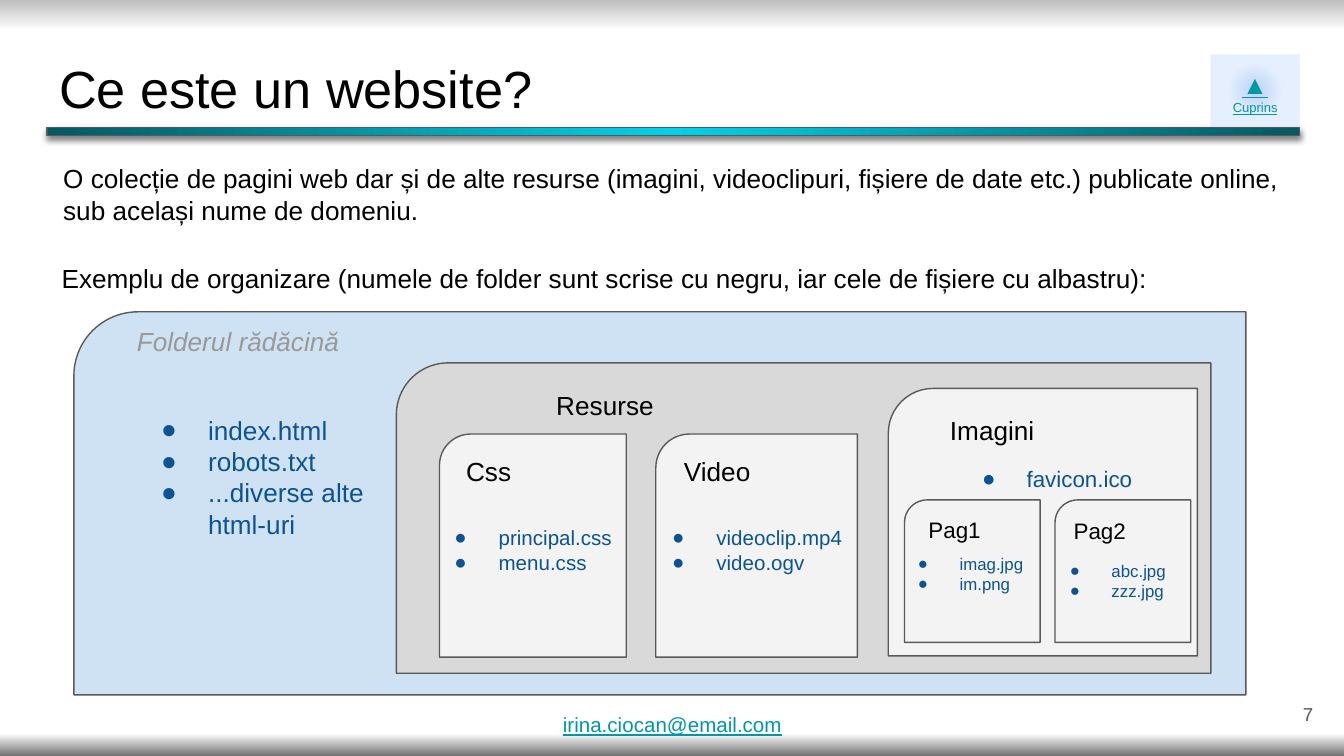
from lxml import etree
from pptx import Presentation, util as u
from pptx.dml import color as c
from pptx.enum import shapes, text
from pptx.oxml import ns

COLORS = {"black": "000000", "file": "0B5394", "link": "0097A7", "muted": "999999",
          "edge": "595959", "root": "CFE2F3", "resources": "D9D9D9", "folder": "F3F3F3"}


def set_gradient(fill, parent, stops, direction, alpha=100):
    fill.gradient()
    gradient = parent.find(ns.qn("a:gradFill"))
    for child in list(gradient):
        gradient.remove(child)
    stop_list = etree.SubElement(gradient, ns.qn("a:gsLst"))
    for position, color in stops:
        stop = etree.SubElement(stop_list, ns.qn("a:gs"), pos=str(position * 1000))
        shade = etree.SubElement(stop, ns.qn("a:srgbClr"), val=color)
        if alpha < 100:
            etree.SubElement(shade, ns.qn("a:alpha"), val=str(alpha * 1000))
    if direction == "circle":
        route = etree.SubElement(gradient, ns.qn("a:path"), path="circle")
        etree.SubElement(route, ns.qn("a:fillToRect"), l="50000", t="50000", r="50000", b="50000")
    else:
        etree.SubElement(gradient, ns.qn("a:lin"), ang=str(direction * 60000), scaled="0")


def write(box, lines, size, color="black", hanging=None, align="LEFT", anchor="TOP",
          inset=(0.1, 0.1), **style):
    frame = box.text_frame
    side, top = (u.Inches(value) for value in inset)
    layout = {"word_wrap": True, "auto_size": text.MSO_AUTO_SIZE.NONE,
              "vertical_anchor": getattr(text.MSO_ANCHOR, anchor),
              "margin_left": side, "margin_right": side,
              "margin_top": top, "margin_bottom": top}
    for name, value in layout.items():
        setattr(frame, name, value)
    for index, line in enumerate(lines):
        para = frame.add_paragraph() if index else frame.paragraphs[0]
        para.alignment = getattr(text.PP_ALIGN, align)
        para.space_before = u.Pt(0)
        props = para._p.get_or_add_pPr()
        if hanging:
            props.set("marL", str(u.Inches(0.5)))
            props.set("indent", str(u.Inches(-hanging)))
            tint = etree.SubElement(props, ns.qn("a:buClr"))
            etree.SubElement(tint, ns.qn("a:srgbClr"), val=COLORS[color])
            etree.SubElement(props, ns.qn("a:buFont"), typeface="Arial")
            etree.SubElement(props, ns.qn("a:buChar"), char="●")
        else:
            props.set("marL", "0")
            props.set("indent", "0")
            etree.SubElement(props, ns.qn("a:buNone"))
        span = para.add_run()
        span.text = line
        for name, value in {"name": "Arial", "size": u.Pt(size), **style}.items():
            setattr(span.font, name, value)
        span.font.color.rgb = c.RGBColor.from_string(COLORS[color])


deck = Presentation()
deck.slide_width = u.Inches(10)
deck.slide_height = u.Inches(10 * 9 / 16)
page = deck.slides.add_slide(deck.slide_layouts[1])
backdrop = page.background.fill
backdrop.gradient()
set_gradient(backdrop, page.background._cSld.bg.bgPr,
             [(0, "BFBFBF"), (4, "FFFFFF"), (97, "FFFFFF"), (100, "737373")], 90)

title, body = page.shapes.title, page.placeholders[1]
for holder, place in ((title, (0.34, 0.32, 9.32, 0.63)), (body, (0.37, 1.11, 9.28, 0.63))):
    holder.left, holder.top, holder.width, holder.height = map(u.Inches, place)
write(title, ["Ce este un website?"], 28)
write(body, ["O colecție de pagini web dar și de alte resurse (imagini, videoclipuri, fișiere "
             "de date etc.) publicate online, sub același nume de domeniu."], 14)

bar = page.shapes.add_shape(shapes.MSO_SHAPE.RECTANGLE, *map(u.Inches, (0.35, 0.95, 9.32, 0.06)))
bar.line.color.rgb = c.RGBColor.from_string(COLORS["edge"])
bar.line.width = u.Pt(0.75)
bar.shadow.inherit = False
bar_props = bar._element.spPr
set_gradient(bar.fill, bar_props, [(0, "00D2E9"), (100, "045962")], "circle")
shadow = etree.SubElement(bar_props.find(ns.qn("a:effectLst")), ns.qn("a:outerShdw"),
                          blurRad=str(u.Pt(3.4)), dist=str(u.Pt(1.5)), dir="5400000",
                          algn="bl", rotWithShape="0")
shadow_color = etree.SubElement(shadow, ns.qn("a:srgbClr"), val=COLORS["black"])
etree.SubElement(shadow_color, ns.qn("a:alpha"), val="50000")

contents = page.shapes.add_shape(shapes.MSO_SHAPE.RECTANGLE, *map(u.Inches, (9.01, 0.41, 0.66, 0.53)))
contents.line.fill.background()
contents.shadow.inherit = False
set_gradient(contents.fill, contents._element.spPr,
             [(0, "4A86E8"), (48, "BCD6FF"), (100, "BCD6FF")], "circle", alpha=37)
write(contents, ["▲", "Cuprins"], 14, "link", align="CENTER", underline=True)
contents.text_frame.paragraphs[1].runs[0].font.size = u.Pt(7)

folders = [
    ("root", 0.55, 2.32, 8.72, 2.85),
    ("resources", 2.95, 2.7, 6.06, 2.31),
    ("folder", 6.61, 2.89, 2.3, 1.99),
    ("folder", 3.27, 3.23, 1.39, 1.66),
    ("folder", 4.88, 3.23, 1.5, 1.66),
    ("folder", 6.73, 3.72, 1.01, 1.06),
    ("folder", 7.85, 3.72, 1.01, 1.06),
]
for kind, *place in folders:
    folder = page.shapes.add_shape(shapes.MSO_SHAPE.ROUND_1_RECTANGLE, *map(u.Inches, place))
    folder._element.spPr.find(ns.qn("a:xfrm")).set("flipH", "1")
    folder.adjustments[0] = 0.167
    folder.fill.solid()
    folder.fill.fore_color.rgb = c.RGBColor.from_string(COLORS[kind])
    folder.line.color.rgb = c.RGBColor.from_string(COLORS["edge"])
    folder.line.width = u.Pt(0.75)
    folder.shadow.inherit = False

file_list = {"color": "file", "hanging": 0.33}
narrow_list = {**file_list, "inset": (0, 0.1)}
page_list = {**narrow_list, "hanging": 0.31}
labels = [
    ((0.36, 1.85, 9.28, 0.43), 14, {}, ["Exemplu de organizare (numele de folder sunt scrise "
                                        "cu negru, iar cele de fișiere cu albastru):"]),
    ((0.92, 2.32, 1.84, 0.43), 14, {"color": "muted", "italic": True}, ["Folderul rădăcină"]),
    ((0.95, 2.98, 2.15, 1.06), 14, {**file_list, "hanging": 0.35},
     ["index.html", "robots.txt", "...diverse alte html-uri"]),
    ((4.04, 2.8, 1.01, 0.43), 14, {}, ["Resurse"]),
    ((3.37, 3.29, 0.73, 0.27), 14, {}, ["Css"]),
    ((3.21, 3.81, 1.55, 0.76), 11, narrow_list, ["principal.css", "menu.css"]),
    ((4.99, 3.29, 0.73, 0.27), 14, {}, ["Video"]),
    ((4.83, 3.81, 1.55, 0.76), 11, narrow_list, ["videoclip.mp4", "video.ogv"]),
    ((6.97, 2.98, 1.07, 0.38), 14, {}, ["Imagini"]),
    ((7.04, 3.36, 1.76, 0.27), 12, file_list, ["favicon.ico"]),
    ((6.81, 3.74, 0.65, 0.27), 12, {}, ["Pag1"]),
    ((7.89, 3.75, 0.65, 0.27), 12, {}, ["Pag2"]),
    ((6.64, 4.02, 1.01, 0.63), 9, page_list, ["imag.jpg", "im.png"]),
    ((7.77, 4.07, 1.01, 0.63), 9, page_list, ["abc.jpg", "zzz.jpg"]),
    ((4.09, 5.3, 1.84, 0.27), 11, {"color": "link", "underline": True, "inset": (0.1, 0)},
     ["irina.ciocan@email.com"]),
    ((9.27, 5.1, 0.6, 0.43), 10, {"color": "edge", "align": "RIGHT", "anchor": "MIDDLE"}, ["7"]),
]
for place, size, style, lines in labels:
    write(page.shapes.add_textbox(*map(u.Inches, place)), lines, size, **style)

deck.save("out.pptx")
